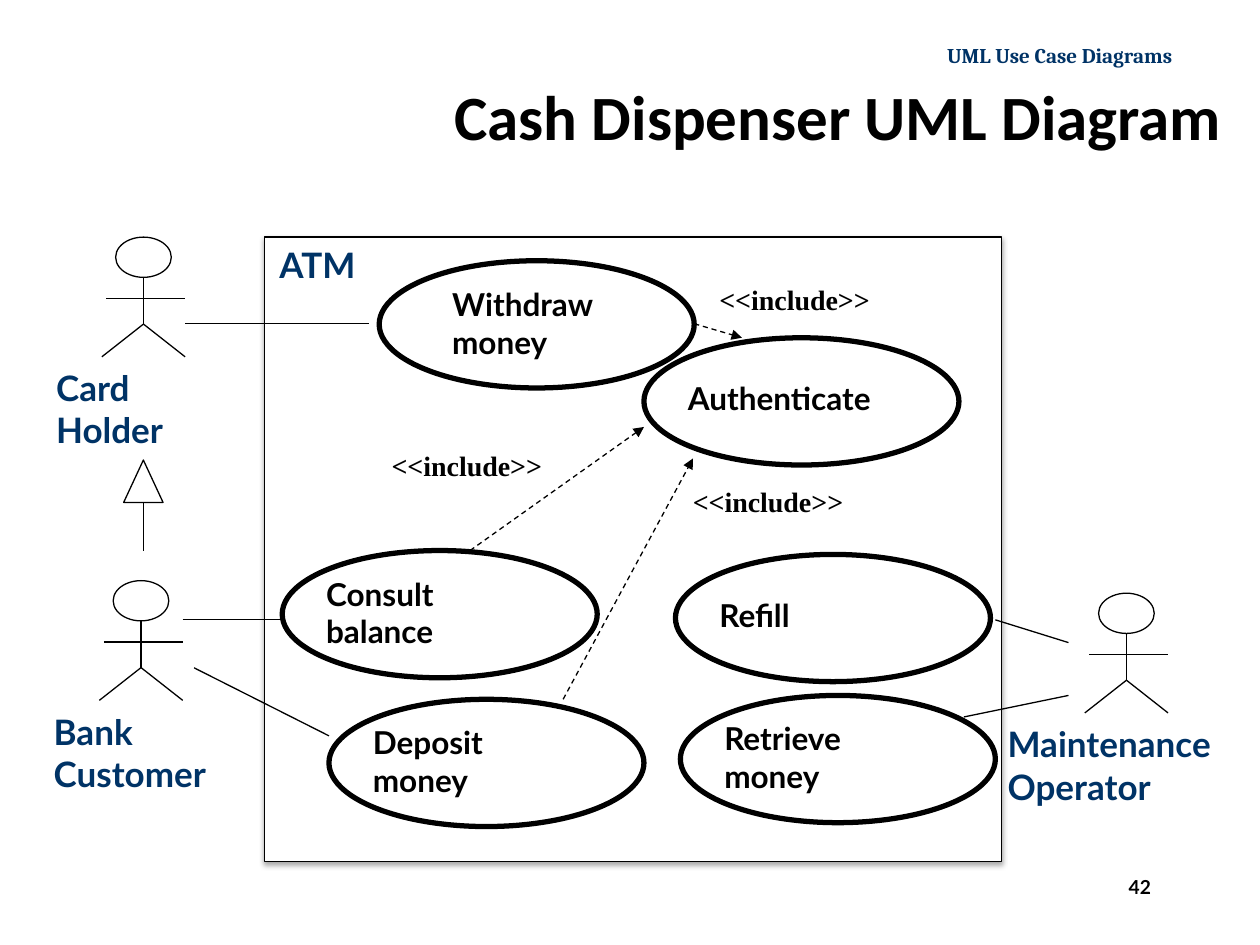
from dataclasses import dataclass
from typing import Optional

from lxml import etree
from pptx import Presentation
from pptx.dml.color import RGBColor
from pptx.enum import dml, shapes, text
from pptx.oxml import parse_xml
from pptx.oxml.ns import nsdecls, qn
from pptx.util import Pt


@dataclass(frozen=True)
class TextStyle:
    font: str
    size: float
    color: RGBColor


BLACK = RGBColor(0, 0, 0)
NAVY = RGBColor(0x00, 0x33, 0x66)


@dataclass(frozen=True)
class Theme:
    white: RGBColor = RGBColor(255, 255, 255)
    ink: RGBColor = BLACK
    thin: float = 0.75
    thick: float = 3
    title: TextStyle = TextStyle("Calibri", 36, BLACK)
    header: TextStyle = TextStyle("Cambria", 12, NAVY)
    number: TextStyle = TextStyle("Lato", 11, BLACK)
    name: TextStyle = TextStyle("Lato", 20, NAVY)
    use_case: TextStyle = TextStyle("Lato", 18, BLACK)
    stereotype: TextStyle = TextStyle("Times New Roman", 16, BLACK)


THEME = Theme()


@dataclass(frozen=True)
class Actor:
    name: str
    center: float
    top: float
    label_width: float = 114


@dataclass(frozen=True)
class UseCase:
    name: str
    left: float
    top: float
    label_indent: float = 18
    label_width: float = 144


@dataclass(frozen=True)
class Link:
    start: tuple[float, float]
    end: tuple[float, float]


@dataclass(frozen=True)
class Include:
    link: Link
    label_left: float
    label_top: float


ACTORS = [
    Actor("Card\nHolder", 82, 135.5),
    Actor("Bank\nCustomer", 80.6, 331.8),
    Actor("Maintenance\nOperator", 643.7, 339, 150),
]
USE_CASES = [
    UseCase("Withdraw\nmoney", 216.7, 149, 34.6, 117),
    UseCase("Authenticate", 368, 193),
    UseCase("Consult\nbalance", 161.3, 314.6),
    UseCase("Deposit\nmoney", 188, 399.6),
    UseCase("Refill", 386, 316.8),
    UseCase("Retrieve\nmoney", 388.8, 397.4),
]
ASSOCIATIONS = [
    Link((105.8, 185), (211, 185)),
    Link((104.4, 354.2), (161.3, 354.2)),
    Link((110.9, 381.6), (188, 420.5)),
    Link((550.8, 409.7), (610.6, 397.4)),
    Link((610.6, 367.2), (568.8, 354.2)),
]
INCLUDES = [
    Include(Link((321.8, 399.6), (396, 262)), 388.8, 273.6),
    Include(Link((268.6, 314.6), (368, 244)), 216.7, 252.7),
    Include(Link((396.7, 185), (424, 193)), 404, 157.7),
]


def write(frame, content: str, style: TextStyle, align=text.PP_ALIGN.LEFT) -> None:
    frame.text = content
    for paragraph in frame.paragraphs:
        paragraph.alignment = align
        paragraph.font.name = style.font
        paragraph.font.size = Pt(style.size)
        paragraph.font.bold = True
        paragraph.font.color.rgb = style.color


def add_label(slide, content: str, style: TextStyle, left: float, top: float,
              width: float, height: float, align=text.PP_ALIGN.LEFT,
              wrap: bool = True) -> None:
    box = slide.shapes.add_textbox(Pt(left), Pt(top), Pt(width), Pt(height))
    box.text_frame.word_wrap = wrap
    write(box.text_frame, content, style, align)


def add_outline(slide, kind, left: float, top: float, width: float, height: float,
                weight: float = THEME.thin, fill: Optional[RGBColor] = None):
    shape = slide.shapes.add_shape(kind, Pt(left), Pt(top), Pt(width), Pt(height))
    shape.shadow.inherit = False
    shape.line.color.rgb = THEME.ink
    shape.line.width = Pt(weight)
    if fill is None:
        shape.fill.background()
    else:
        shape.fill.solid()
        shape.fill.fore_color.rgb = fill
    return shape


def add_line(slide, link: Link):
    line = slide.shapes.add_connector(
        shapes.MSO_CONNECTOR.STRAIGHT, *(Pt(value) for value in link.start + link.end))
    line.line.color.rgb = THEME.ink
    line.line.width = Pt(THEME.thin)
    etree.SubElement(line._element.spPr, qn("a:effectLst"))
    return line


def add_actor(slide, actor: Actor) -> None:
    x, top = actor.center, actor.top
    neck, arms, hip, feet = (top + drop for drop in (23, 35, 49.7, 68.4))
    for link in (Link((x, neck), (x, hip)),
                 Link((x, hip), (x - 23.8, feet)),
                 Link((x, hip), (x + 23.8, feet)),
                 Link((x - 21.2, arms), (x + 23.8, arms))):
        add_line(slide, link)
    add_outline(slide, shapes.MSO_SHAPE.OVAL, x - 15.9, top, 31.8, 23)
    add_label(slide, actor.name, THEME.name, x - actor.label_width / 2, top + 70.6,
              actor.label_width, 55.4)


def add_use_case(slide, case: UseCase) -> None:
    add_outline(slide, shapes.MSO_SHAPE.OVAL, case.left, case.top, 180, 72.7, THEME.thick)
    two_lines = "\n" in case.name
    add_label(slide, case.name, THEME.use_case, case.left + case.label_indent,
              case.top + (10.2 if two_lines else 20), case.label_width,
              51.1 if two_lines else 29)


def add_include(slide, include: Include) -> None:
    line = add_line(slide, include.link)
    line.line.dash_style = dml.MSO_LINE.DASH
    etree.SubElement(line.line._get_or_add_ln(), qn("a:tailEnd"), type="triangle")
    add_label(slide, "<<include>>", THEME.stereotype, include.label_left,
              include.label_top, 100.8, 26.6)


def add_system_boundary(slide) -> None:
    box = add_outline(slide, shapes.MSO_SHAPE.RECTANGLE, 151.2, 135.4, 421.2, 357,
                      fill=THEME.white)
    effects = box._element.spPr.find(qn("a:effectLst"))
    effects.append(parse_xml(
        f'<a:outerShdw {nsdecls("a")} blurRad="{Pt(3.1)}" dist="{Pt(1.8)}" dir="5400000" '
        'rotWithShape="0"><a:srgbClr val="000000"><a:alpha val="35000"/></a:srgbClr>'
        '</a:outerShdw>'))
    add_label(slide, "ATM", THEME.name, 152.6, 135.4, 114, 31.5)


def add_generalization(slide) -> None:
    """Hollow arrow from the bank customer up to the card holder."""
    add_outline(slide, shapes.MSO_SHAPE.FLOWCHART_EXTRACT, 70.7, 262.9, 22.5, 24.2)
    add_line(slide, Link((82, 287.1), (82, 314.6)))


def add_title(slide) -> None:
    title = slide.shapes.title
    title.left, title.top, title.width, title.height = Pt(153.4), Pt(38.9), Pt(552), Pt(54)
    title.text_frame.auto_size = text.MSO_AUTO_SIZE.NONE
    title.text_frame.vertical_anchor = text.MSO_ANCHOR.MIDDLE
    write(title.text_frame, "Cash Dispenser UML Diagram", THEME.title, text.PP_ALIGN.RIGHT)


def main() -> None:
    presentation = Presentation()
    presentation.slide_width, presentation.slide_height = Pt(720), Pt(540)
    slide = presentation.slides.add_slide(presentation.slide_layouts[5])
    add_title(slide)
    add_label(slide, "42", THEME.number, 637.9, 496.8, 64, 20.9)
    add_label(slide, "UML Use Case Diagrams", THEME.header, 530.6, 20.9, 146.4, 21.6,
              text.PP_ALIGN.RIGHT, wrap=False)
    add_system_boundary(slide)
    for actor in ACTORS:
        add_actor(slide, actor)
    for case in USE_CASES:
        add_use_case(slide, case)
    for include in INCLUDES:
        add_include(slide, include)
    for link in ASSOCIATIONS:
        add_line(slide, link)
    add_generalization(slide)
    presentation.save("out.pptx")


if __name__ == "__main__":
    main()
